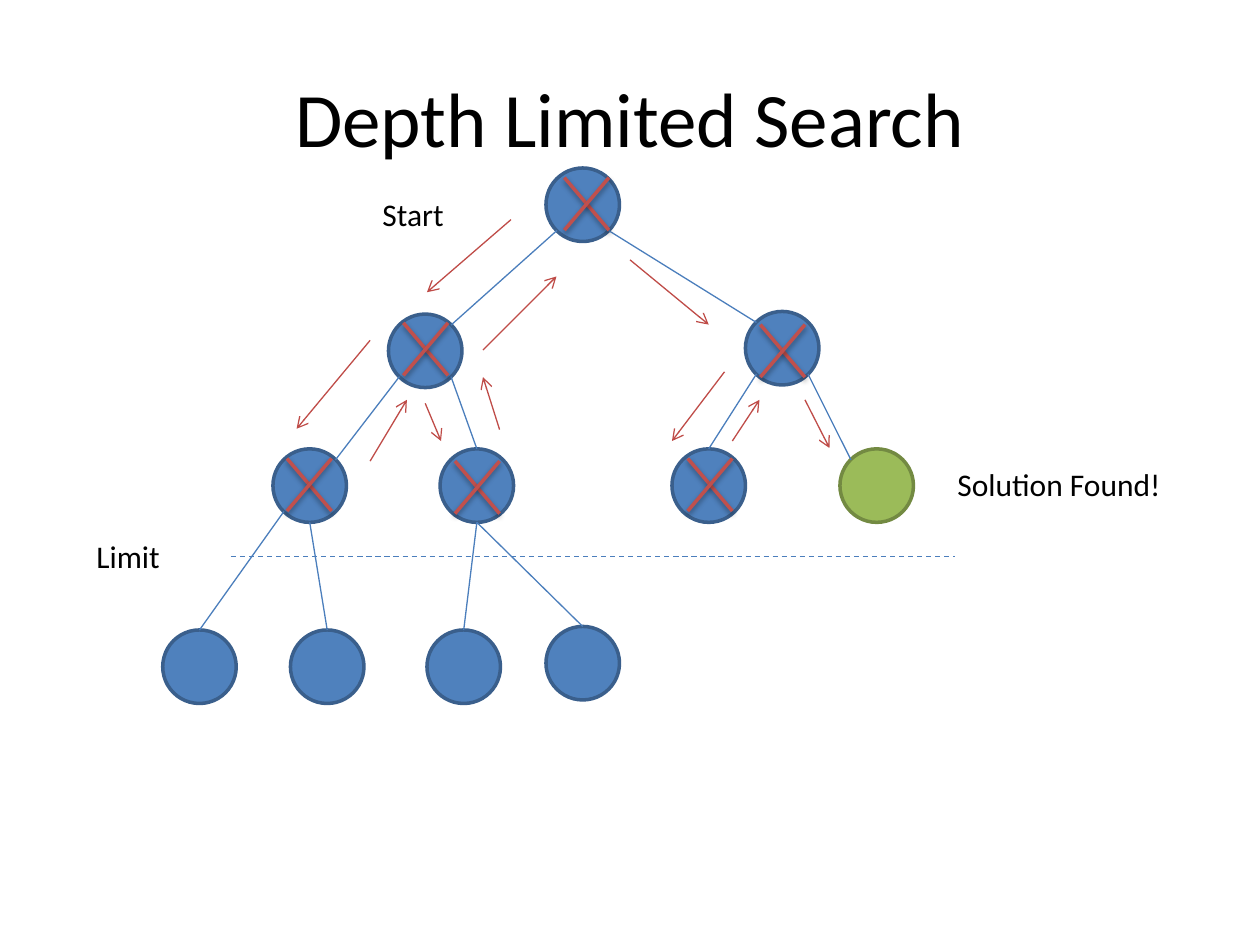
import pptx
import pptx.util
import pptx.dml.color
import pptx.enum.dml
import pptx.enum.shapes
import pptx.enum.text
import pptx.oxml
import pptx.oxml.ns

Pt = pptx.util.Pt
RGB = pptx.dml.color.RGBColor.from_string
PP = pptx.enum.text.PP_ALIGN
ANCHOR = pptx.enum.text.MSO_ANCHOR
SHAPE = pptx.enum.shapes.MSO_SHAPE
STRAIGHT = pptx.enum.shapes.MSO_CONNECTOR.STRAIGHT
NS = pptx.oxml.ns.nsdecls("a")

theme = {
    "font": "Calibri", "title": 44, "label": 18, "text": "000000",
    "node": ("4F81BD", "3A5F8C"), "goal": ("9BBB59", "738A42"),
    "edge": "4B7EBC", "move": "BF4C48", "cross": "C0504D",
    "thin": 0.75, "thick": 2,
}
SHADOW = (f'<a:effectLst {NS}><a:outerShdw blurRad="40000" dist="20000" dir="5400000" rotWithShape="0">'
          '<a:srgbClr val="000000"><a:alpha val="38000"/></a:srgbClr></a:outerShdw></a:effectLst>')
NO_EFFECT = f"<a:effectLst {NS}/>"
ARROW = f'<a:tailEnd {NS} type="arrow"/>'

prs = pptx.Presentation()
prs.slide_width, prs.slide_height = Pt(720), Pt(540)
s = prs.slides.add_slide(prs.slide_layouts[6])


def add_line(shapes, start, end, color, width=theme["thin"], effect=NO_EFFECT):
    ln = shapes.add_connector(STRAIGHT, *(Pt(v) for v in (*start, *end)))
    ln.line.color.rgb = RGB(color)
    ln.line.width = Pt(width)
    ln._element.spPr.append(pptx.oxml.parse_xml(effect))
    return ln


def add_text(text, box, size, align, anchor, wrap):
    tf = s.shapes.add_textbox(*(Pt(v) for v in box)).text_frame
    for name, value in {"word_wrap": wrap, "vertical_anchor": anchor}.items():
        setattr(tf, name, value)
    p = tf.paragraphs[0]
    p.alignment = align
    r = p.add_run()
    r.text = text
    for name, value in {"name": theme["font"], "size": Pt(size)}.items():
        setattr(r.font, name, value)
    r.font.color.rgb = RGB(theme["text"])


add_text("Depth Limited Search", (36, 21.6, 648, 90), theme["title"], PP.CENTER, ANCHOR.MIDDLE, True)

diameter = 42
nodes = {
    "root": (312, 96), "left": (222, 179.5), "right": (426, 178),
    "left_left": (156, 256.5), "left_right": (251.5, 256.5),
    "right_left": (384, 256.5), "goal": (480, 256.5),
    "leaf_1": (93, 360), "leaf_2": (166, 360), "leaf_3": (244, 360), "leaf_4": (312, 358),
}
for name, (x, y) in nodes.items():
    fill, outline = theme["goal" if name == "goal" else "node"]
    sp = s.shapes.add_shape(SHAPE.OVAL, Pt(x), Pt(y), Pt(diameter), Pt(diameter))
    sp.shadow.inherit = False
    sp.fill.solid()
    sp.fill.fore_color.rgb = RGB(fill)
    sp.line.color.rgb = RGB(outline)
    sp.line.width = Pt(theme["thick"])

near, far = 0.15 * diameter, 0.85 * diameter
sites = {
    "top": (diameter / 2, 0), "bottom": (diameter / 2, diameter),
    "top_left": (near, near), "top_right": (far, near),
    "bottom_left": (near, far), "bottom_right": (far, far),
}
edges = [
    ("root", "bottom_left", "left", "top_right"),
    ("left", "bottom_left", "left_left", "top_right"),
    ("left", "bottom_right", "left_right", "top"),
    ("root", "bottom_right", "right", "top_left"),
    ("right", "bottom_left", "right_left", "top"),
    ("right", "bottom_right", "goal", "top_left"),
    ("left_left", "bottom_left", "leaf_1", "top"),
    ("left_left", "bottom", "leaf_2", "top"),
    ("left_right", "bottom", "leaf_3", "top"),
    ("left_right", "bottom", "leaf_4", "top"),
]
for parent, out_site, child, in_site in edges:
    start, end = ([a + b for a, b in zip(nodes[node], sites[site])]
                  for node, site in ((parent, out_site), (child, in_site)))
    add_line(s.shapes, start, end, theme["edge"])

moves = [
    ((292, 125.5), (244, 167)), ((211.5, 194.5), (169.5, 245)),
    ((211.5, 263.5), (232.5, 228.5)), ((243, 230.5), (252, 252)),
    ((285.5, 245.5), (276, 215.5)), ((276, 200), (318, 158)),
    ((360, 148.5), (405, 185.5)), ((414, 212.5), (384, 252)),
    ((418.5, 252), (434, 228.5)), ((460, 228.5), (474, 256)),
]
for start, end in moves:
    ln = add_line(s.shapes, start, end, theme["move"])
    ln.line._get_or_add_ln().append(pptx.oxml.parse_xml(ARROW))

cross_w, cross_h = 25.5, 30
crosses = [(322.5, 101.5), (230.5, 184.5), (434.5, 185.5), (164, 262), (260, 263.5), (393, 262)]
for x, y in crosses:
    grp = s.shapes.add_group_shape()
    for x1, x2 in ((x, x + cross_w), (x + cross_w, x)):
        add_line(grp.shapes, (x1, y), (x2, y + cross_h), theme["cross"], theme["thick"], SHADOW)

limit = add_line(s.shapes, (132, 318), (546, 318), theme["edge"])
limit.line.dash_style = pptx.enum.dml.MSO_LINE.DASH

labels = [("Start", 211.5, 108, 69), ("Limit", 48, 303.5, 54), ("Solution Found!", 540, 262, 132)]
for text, x, y, w in labels:
    add_text(text, (x, y, w, 29), theme["label"], PP.LEFT, ANCHOR.TOP, False)

prs.save("out.pptx")
